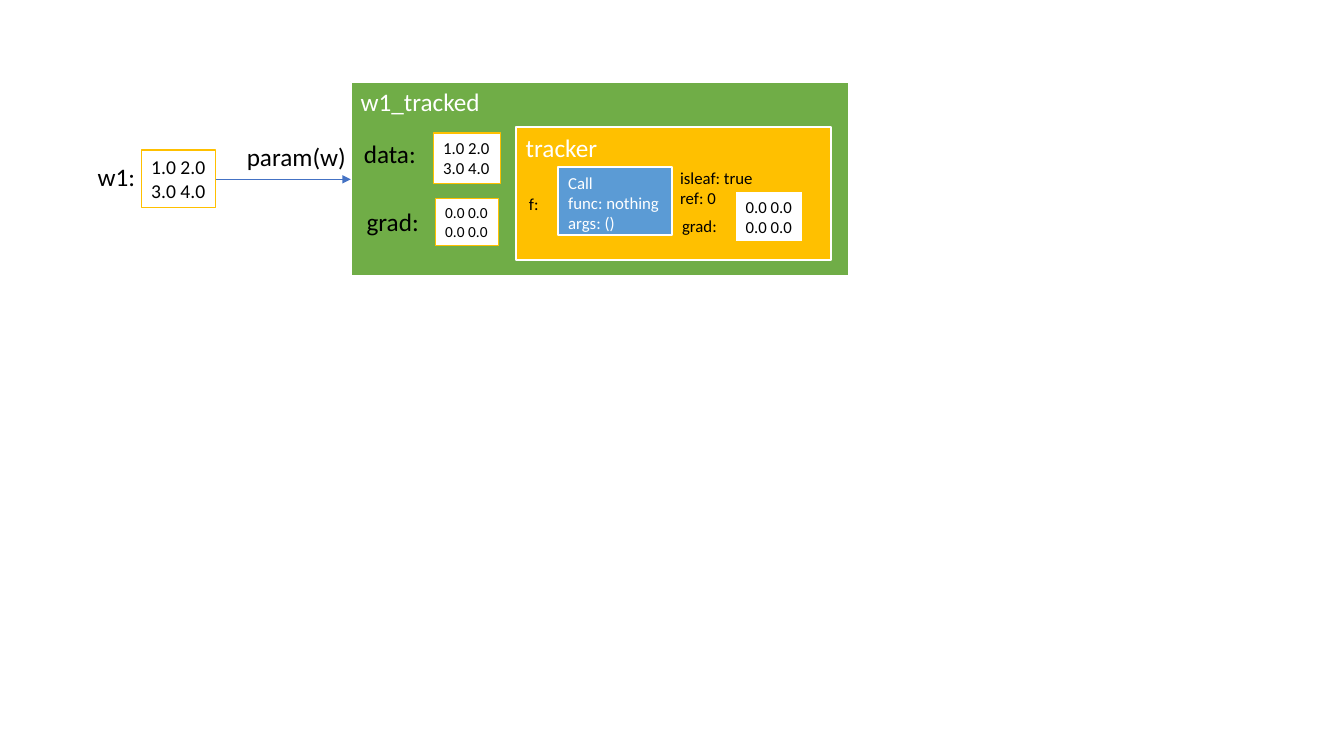
from lxml.etree import SubElement
from pptx import Presentation
from pptx.dml.color import RGBColor
from pptx.enum.shapes import MSO_CONNECTOR, MSO_SHAPE
from pptx.enum.text import MSO_ANCHOR, PP_ALIGN
from pptx.oxml.ns import qn
from pptx.util import Cm, Pt

WHITE = RGBColor(0xFF, 0xFF, 0xFF)
BLACK = RGBColor(0x00, 0x00, 0x00)
GREEN = RGBColor(0x70, 0xAD, 0x47)
GOLD = RGBColor(0xFF, 0xC0, 0x00)
BLUE = RGBColor(0x5B, 0x9B, 0xD5)
ARROW_BLUE = RGBColor(0x44, 0x72, 0xC4)

deck = Presentation()
deck.slide_width = Cm(33.87)
deck.slide_height = Cm(19.05)
page = deck.slides.add_slide(deck.slide_layouts[6])


def write(box, lines, size, color, wrap=True):
    frame = box.text_frame
    frame.word_wrap = wrap
    frame.vertical_anchor = MSO_ANCHOR.TOP
    for index, line in enumerate(lines):
        para = frame.add_paragraph() if index else frame.paragraphs[0]
        para.alignment = PP_ALIGN.LEFT
        span = para.add_run()
        span.text = line
        span.font.name = "Calibri"
        span.font.size = Pt(size)
        span.font.color.rgb = color


def add_box(place, fill, border, width):
    box = page.shapes.add_shape(MSO_SHAPE.RECTANGLE, *map(Cm, place))
    box.shadow.inherit = False
    box.fill.solid()
    box.fill.fore_color.rgb = fill
    box.line.color.rgb = border
    box.line.width = Pt(width)
    return box


containers = [
    ((8.84, 2.06, 12.55, 4.9), GREEN, 18, ["w1_tracked"]),
    ((13, 3.2, 7.95, 3.35), GOLD, 18, ["tracker"]),
    ((14.07, 4.22, 2.87, 1.7), BLUE, 12, ["Call", "func: nothing", "args: ()"]),
]
for place, fill, size, lines in containers:
    write(add_box(place, fill, WHITE, 1.5), lines, size, WHITE)

weights = ["1.0 2.0", "3.0 4.0"]
zeros = ["0.0 0.0"] * 2
matrices = [
    ((3.56, 3.78, 1.88, 1.45), 14, weights),
    ((10.92, 3.35, 1.7, 1.27), 12, weights),
    ((10.97, 5, 1.6, 1.19), 11, zeros),
    ((18.54, 4.83, 1.68, 1.27), 12, zeros),
]
for place, size, lines in matrices:
    write(add_box(place, WHITE, GOLD, 1), lines, size, BLACK, wrap=False)

labels = [
    ((2.21, 3.94, 1.47, 1.02), 18, ["w1:"]),
    ((5.97, 3.43, 3.3, 1.02), 18, ["param(w)"]),
    ((8.92, 3.35, 2.39, 1.02), 18, ["data:"]),
    ((8.99, 5.08, 2.39, 1.02), 18, ["grad:"]),
    ((13.08, 4.75, 1.2, 0.76), 12, ["f:"]),
    ((16.94, 5.31, 2.39, 0.76), 12, ["grad:"]),
    ((16.89, 4.09, 4.06, 1.27), 12, ["isleaf: true", "ref: 0"]),
]
for place, size, lines in labels:
    write(page.shapes.add_textbox(*map(Cm, place)), lines, size, BLACK)

arrow = page.shapes.add_connector(
    MSO_CONNECTOR.STRAIGHT, Cm(5.44), Cm(4.52), Cm(8.84), Cm(4.52)
)
arrow.line.color.rgb = ARROW_BLUE
arrow.line.width = Pt(0.5)
SubElement(arrow.line._get_or_add_ln(), qn("a:tailEnd"), type="triangle")
SubElement(arrow._element.spPr, qn("a:effectLst"))

deck.save("out.pptx")
